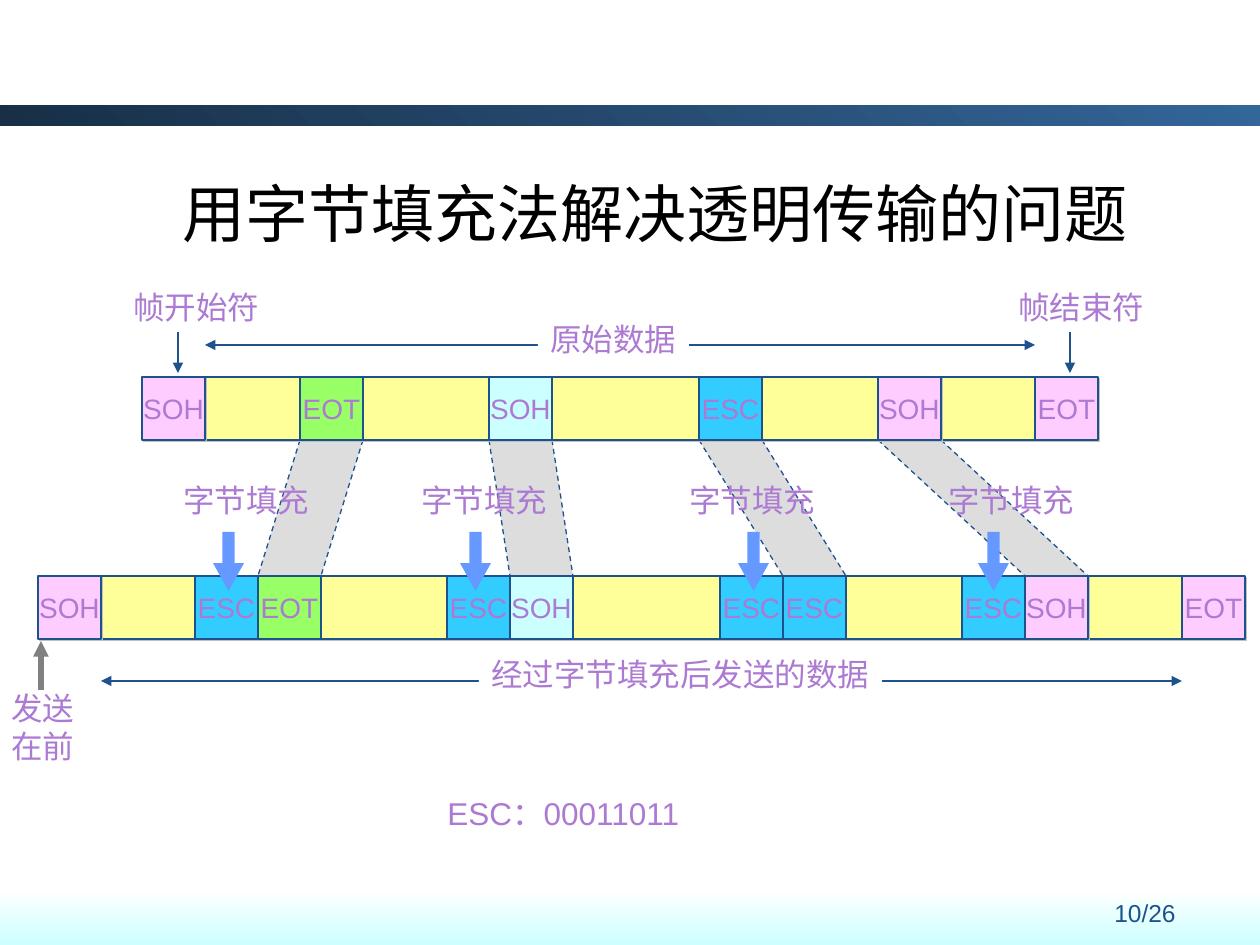
import pptx
import pptx.util
import pptx.dml.color
import pptx.enum.dml
import pptx.enum.shapes
import pptx.enum.text
import lxml.etree

UNIT = 914400 / 126
CELL = 63
NS = "{http://schemas.openxmlformats.org/drawingml/2006/main}"
KIND = pptx.enum.shapes.MSO_SHAPE
ALIGN = pptx.enum.text.PP_ALIGN
MID = pptx.enum.text.MSO_ANCHOR.MIDDLE
COLOR = {
    "navy": "182F47", "steel": "336699", "white": "FFFFFF", "ice": "CCFFFF",
    "line": "1D528D", "text": "AC7AD2", "black": "000000", "pink": "FFCCFF",
    "yellow": "FFFF99", "green": "99FF66", "blue": "33CCFF", "band": "DDDDDD",
    "arrow": "6699FF", "gray": "808080", "shade": "C0C0C0",
}


def px(num):
    return pptx.util.Emu(round(num * UNIT))


def rgb(name):
    return pptx.dml.color.RGBColor.from_string(COLOR[name])


def node(root, tag, **attrs):
    return lxml.etree.SubElement(root, NS + tag, attrs)


def write(shape, rows, size=18, color="text", align=ALIGN.LEFT, wrap=False, font="Arial"):
    frame = shape.text_frame
    frame.word_wrap = wrap
    for spot, row in enumerate(rows):
        para = frame.add_paragraph() if spot else frame.paragraphs[0]
        para.alignment = align
        run = para.add_run()
        run.text = row
        run.font.size = pptx.util.Pt(size)
        run.font.name = font
        run.font.color.rgb = rgb(color)
        node(run.font._element, "ea", typeface="Noto Sans CJK SC")
    return frame


def label(slide, box, *rows, fill=None, **style):
    shape = slide.shapes.add_textbox(*map(px, box))
    if fill:
        shape.fill.solid()
        shape.fill.fore_color.rgb = rgb(fill)
    return write(shape, rows, **style)


def block(slide, box, fill, kind=KIND.RECTANGLE, edge=True, shade=False):
    shape = slide.shapes.add_shape(kind, *map(px, box))
    shape.shadow.inherit = False
    shape.fill.solid()
    shape.fill.fore_color.rgb = rgb(fill)
    if edge:
        shape.line.color.rgb = rgb("line")
        shape.line.width = pptx.util.Pt(0.75)
    else:
        shape.line.fill.background()
    if shade:
        effect = shape._element.spPr.find(NS + "effectLst")
        drop = node(effect, "outerShdw", dist="17780", dir="2700000", algn="ctr", rotWithShape="0")
        node(drop, "srgbClr", val=COLOR["shade"])
    return shape


def line(slide, ends, color="line", width=0.75, dash=False, head=False, tail=False):
    link = slide.shapes.add_connector(
        pptx.enum.shapes.MSO_CONNECTOR.STRAIGHT, *map(px, ends))
    link.line.color.rgb = rgb(color)
    link.line.width = pptx.util.Pt(width)
    if dash:
        link.line.dash_style = pptx.enum.dml.MSO_LINE.DASH
    root = link.line._get_or_add_ln()
    for tag, show in (("headEnd", head), ("tailEnd", tail)):
        if show:
            node(root, tag, type="triangle")
    node(link._element.spPr, "effectLst")


def fade(slide, box, first, last, angle):
    shape = block(slide, box, first, edge=False)
    shape.fill.gradient()
    shape.fill.gradient_angle = angle
    for stop, name in zip(shape.fill.gradient_stops, (first, last)):
        stop.color.rgb = rgb(name)


def frame_row(slide, box, cells):
    left, top, width, high = box
    block(slide, (left + CELL, top, width - 2 * CELL, high), "yellow", shade=True)
    for shift, word, fill in cells:
        cell = block(slide, (left + shift, top, CELL, high), fill, shade=fill == "pink")
        write(cell, [word], size=16, align=ALIGN.CENTER).vertical_anchor = MID


def bands(slide, top, base, pairs):
    for high, low in pairs:
        form = slide.shapes.build_freeform(px(high), px(top), scale=1.0)
        form.add_line_segments(
            [(px(high + CELL), px(top)), (px(low + CELL), px(base)), (px(low), px(base))])
        shape = form.convert_to_shape()
        shape.shadow.inherit = False
        shape.fill.solid()
        shape.fill.fore_color.rgb = rgb("band")
        shape.line.fill.background()
        for edge in (0, CELL):
            line(slide, (high + edge, top, low + edge, base), dash=True)


def span(slide, box, word, start, width):
    left, top, wide, high = box
    mid = top + high // 2
    line(slide, (left, mid, left + wide, mid), head=True, tail=True)
    label(slide, (start, top, width, 50), word, fill="white")


def marker(slide, box, word, tip):
    left, top, width, high = box
    label(slide, box, word)
    line(slide, (tip, top + high, tip, top + high + 41), tail=True)


def stuffing(slide, box, tip):
    left, top, width, high = box
    label(slide, (left, top, width, 50), "字节填充")
    arrow = block(slide, (tip - 15, top + 57, 31, 59), "arrow", KIND.DOWN_ARROW, edge=False)
    arrow.adjustments[0] = 0.39
    arrow.adjustments[1] = 0.9


def main():
    deck = pptx.Presentation()
    deck.slide_width, deck.slide_height = px(1260), px(945)
    slide = deck.slides.add_slide(deck.slide_layouts[6])
    fade(slide, (0, 105, 1260, 21), "navy", "steel", 45)
    fade(slide, (0, 890, 1260, 55), "white", "ice", 270)
    label(slide, (1060, 892, 170, 44), "10/26", size=14, color="line", align=ALIGN.CENTER)
    title = label(slide, (159, 159, 1007, 106), "用字节填充法解决透明传输的问题 ", size=36,
                  color="black", align=ALIGN.CENTER, wrap=True, font="Noto Sans CJK SC")
    title.vertical_anchor = MID

    bands(slide, 440, 576, [(300, 258), (489, 510), (699, 783), (878, 1025)])
    frame_row(slide, (142, 377, 956, CELL), [
        (0, "SOH", "pink"), (158, "EOT", "green"), (347, "SOH", "ice"),
        (557, "ESC", "blue"), (736, "SOH", "pink"), (893, "EOT", "pink")])
    frame_row(slide, (38, 576, 1207, CELL), [
        (0, "SOH", "pink"), (157, "ESC", "blue"), (220, "EOT", "green"),
        (409, "ESC", "blue"), (472, "SOH", "ice"), (682, "ESC", "blue"),
        (745, "ESC", "blue"), (924, "ESC", "blue"), (987, "SOH", "pink"),
        (1144, "EOT", "pink")])

    span(slide, (205, 314, 830, 62), "原始数据", 538, 151)
    span(slide, (101, 649, 1081, 65), "经过字节填充后发送的数据", 479, 403)
    marker(slide, (121, 282, 151, 50), "帧开始符", 178)
    marker(slide, (1006, 282, 151, 50), "帧结束符", 1070)
    for left, tip in ((171, 228), (409, 475), (677, 753), (936, 993)):
        stuffing(slide, (left, 475, 151, 116), tip)
    line(slide, (41, 690, 41, 641), color="gray", width=3, tail=True)
    label(slide, (-1, 683, 88, 88), "发送", "在前")
    label(slide, (435, 788, 276, 50), "ESC：00011011")
    deck.save("out.pptx")


if __name__ == "__main__":
    main()
